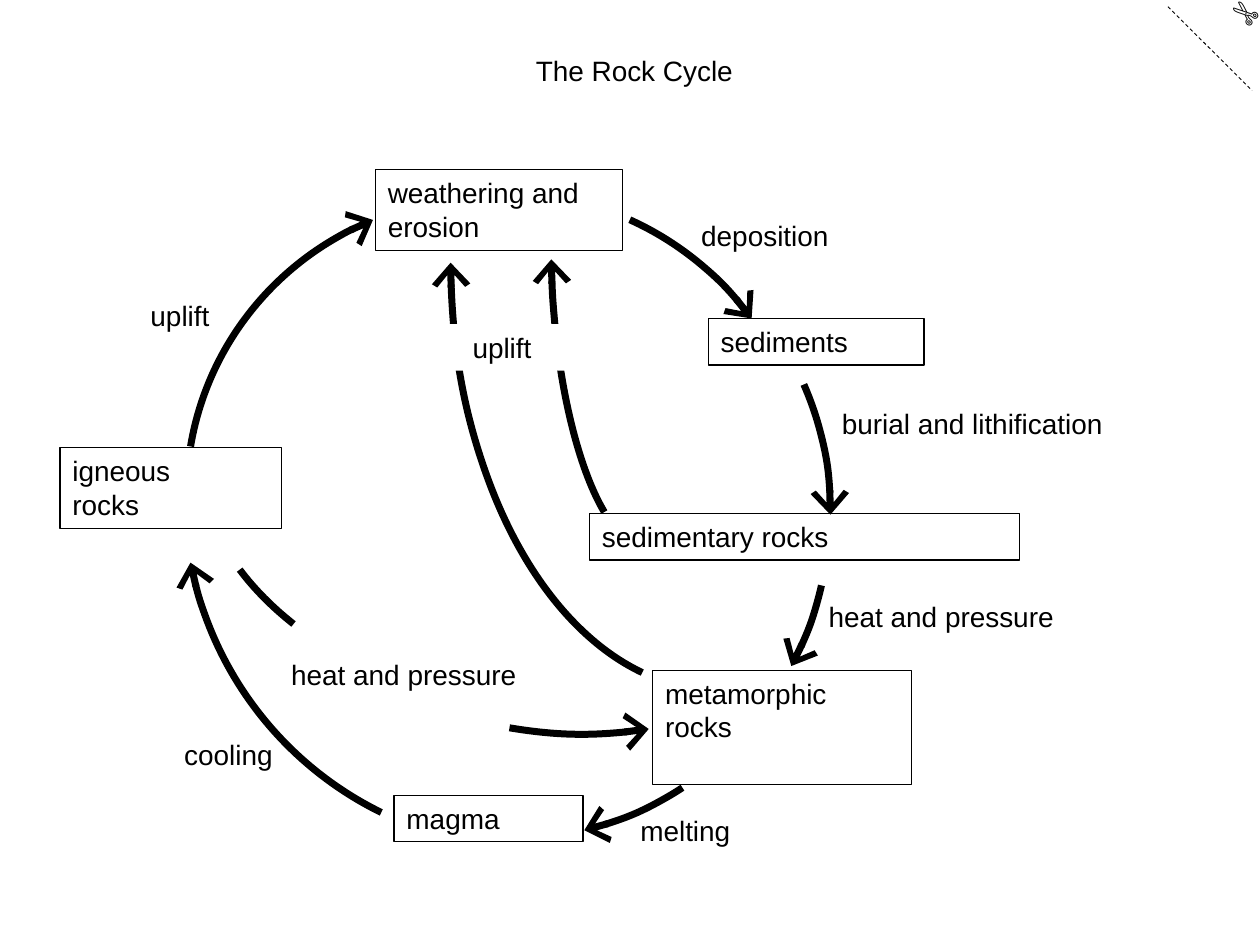
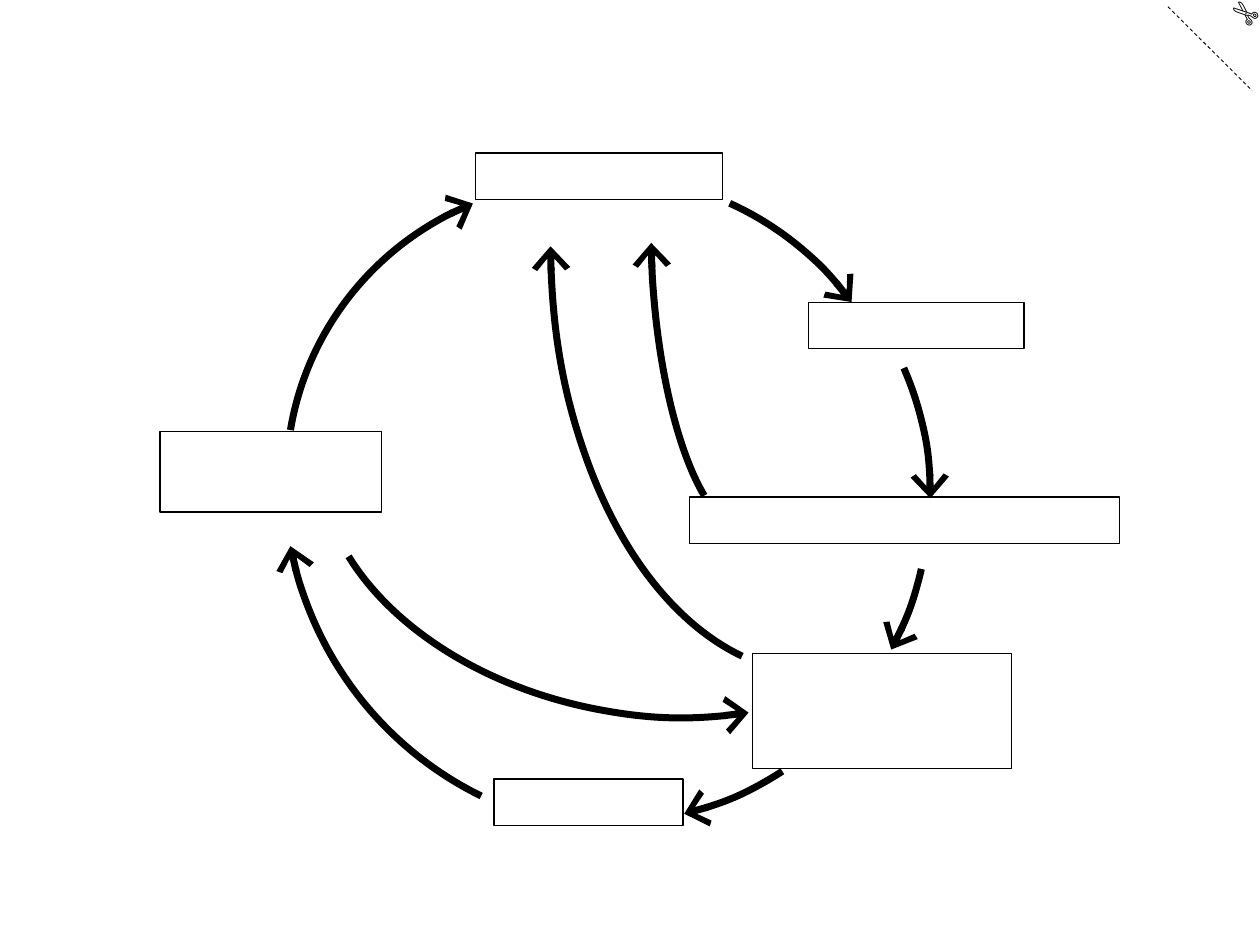
from lxml.etree import SubElement
from pptx import Presentation
from pptx.dml.color import RGBColor
from pptx.enum.dml import MSO_LINE
from pptx.enum.shapes import MSO_CONNECTOR, MSO_SHAPE as Shape
from pptx.enum.text import MSO_ANCHOR as Anchor, PP_ALIGN as Align
from pptx.oxml.ns import qn
from pptx.util import Pt

FONT, INK, PAPER = "Arial", "000000", "FFFFFF"
ROW = 26.6  # height of a one-line box
SHIFT = (57.1, -9.4)  # the blank diagram against the labelled one

TITLE = ("The Rock Cycle", 298.4, 26.9, 128.2)

# text, left, top, width, height, height when blank
BOXES = [
    ("weathering and erosion", 214.5, 96.9, 141.3, 46.3, ROW),
    ("sediments", 404.8, 182.1, 123.3, ROW, ROW),
    ("sedimentary rocks", 336.9, 293.5, 245.7, ROW, ROW),
    ("metamorphic rocks", 373, 383, 147.8, 65.5, 65.5),
    ("magma", 225.2, 454.5, 108, ROW, ROW),
    ("igneous\nrocks", 34.3, 255.9, 126.7, 46.1, 46.1),
]

# left, top, width, height, turn, start, end
ARCS = [
    (106.6, 113, 343.4, 339.8, 0, 113.58, 148.49),  # igneous to weathering
    (222.5, 137.5, 267.1, 79.2, 85.1, 6.12, 78.02),  # sedimentary to weathering
    (163.6, -4.3, 492.5, 304.6, 270, 114.16, 161.52),  # metamorphic to weathering
    (112.3, 111.6, 353.5, 349.9, 70, 134.25, 152),  # deposition
    (103, 80.6, 406.1, 401.8, 279.8, 117.57, 149.24),  # cooling
    (116.8, 120.2, 357.8, 354.2, 134.9, 142.32, 151.88),  # heat and pressure
    (112.3, 125.3, 357.8, 354.2, 180, 141.74, 153.64),  # melting
    (118.4, 115.9, 357.8, 354.2, 105, 138.4, 153.22),  # burial
]

# igneous to metamorphic: whole, or in two parts around its label
BOWL = (123.8, 165.6, 367.2, 251.3, 11)
WHOLE = (*BOWL, 121.99, 184.67)
FRONT = (*BOWL, 164.14, 184.67)
BACK = (111.6, 153.4, 367.2, 251.3, 11, 124.43, 133.4)

# text, left, top, width
LABELS = [
    ("cooling", 98.2, 417.9, 65.5),
    ("deposition", 393.6, 121.4, 87.8),
    ("burial and lithification", 474, 229, 223.2),
    ("heat and pressure", 466.4, 339.1, 144.7),
    ("heat and pressure", 159.3, 372.2, 169.9),
    ("melting", 358.8, 461.5, 66.2),
]
# text, left, top, width, left margin: these hide the arrows behind them
MASKS = [
    ("uplift", 245.5, 185.3, 87.1, 24.5),
    ("uplift", 78.9, 167, 49, 7.2),
]


def color(code):
    return RGBColor.from_string(code)


def write(shape, text, size=16, align=Align.LEFT):
    frame = shape.text_frame
    frame.text = text
    frame.word_wrap = True
    frame.vertical_anchor = Anchor.TOP
    for par in frame.paragraphs:
        par.alignment = align
        font = par.font
        font.name, font.size = FONT, Pt(size)
        font.color.rgb = color(INK)


def draw(slide, kind, left, top, width, height):
    """Add a preset shape with no fill, line or shadow."""
    shape = slide.shapes.add_shape(kind, Pt(left), Pt(top), Pt(width), Pt(height))
    shape.shadow.inherit = False
    shape.fill.background()
    shape.line.fill.background()
    return shape


def stroke(line, width):
    line.fill.solid()
    line.fill.fore_color.rgb = color(INK)
    line.width = Pt(width)


def add_arc(slide, arc, shift, head=True, flip=False):
    left, top, width, height, turn, start, end = arc
    shape = draw(slide, Shape.ARC, left + shift[0], top + shift[1], width, height)
    shape.adjustments[0], shape.adjustments[1] = start, end
    shape.rotation = turn
    stroke(shape.line, 4)
    if flip:
        shape.element.spPr.find(qn("a:xfrm")).set("flipV", "1")
    if head:
        line = shape.element.spPr.find(qn("a:ln"))
        SubElement(line, qn("a:tailEnd"), type="arrow", w="lg", len="med")


def add_label(slide, text, left, top, width):
    box = slide.shapes.add_textbox(Pt(left), Pt(top), Pt(width), Pt(ROW))
    write(box, text)


def add_cycle(slide, shift=(0, 0), blank=False):
    """Draw the boxes and the arrows that both slides share."""
    for text, left, top, width, full, bare in BOXES:
        box = draw(slide, Shape.RECTANGLE, left + shift[0], top + shift[1],
                   width, bare if blank else full)
        stroke(box.line, 0.75)
        if not blank:
            write(box, text)
    for arc in ARCS:
        add_arc(slide, arc, shift)
    add_arc(slide, WHOLE if blank else FRONT, shift, flip=True)


def add_corner(slide):
    """Draw the dashed cutting line and its scissors."""
    cut = slide.shapes.add_connector(
        MSO_CONNECTOR.STRAIGHT, Pt(667.4), Pt(3.8), Pt(715.5), Pt(51.8))
    stroke(cut.line, 0.5)
    cut.line.dash_style = MSO_LINE.DASH
    SubElement(cut.element.spPr, qn("a:effectLst"))
    mark = slide.shapes.add_textbox(Pt(695.9), Pt(-6.5), Pt(30.2), Pt(28.8))
    write(mark, "✄", 18)
    mark.rotation = 220.5


def add_named(deck):
    slide = deck.slides.add_slide(deck.slide_layouts[5])
    head = slide.shapes.title
    text, left, top, width = TITLE
    head.left, head.top, head.width, head.height = map(Pt, (left, top, width, ROW))
    write(head, text, align=Align.CENTER)
    add_cycle(slide)
    add_arc(slide, BACK, (0, 0), head=False, flip=True)
    for label in LABELS:
        add_label(slide, *label)
    for text, left, top, width, inset in MASKS:
        mask = draw(slide, Shape.RECTANGLE, left, top, width, ROW)
        mask.fill.solid()
        mask.fill.fore_color.rgb = color(PAPER)
        write(mask, text)
        mask.text_frame.margin_left = Pt(inset)
    add_corner(slide)


def add_blank(deck):
    slide = deck.slides.add_slide(deck.slide_layouts[6])
    add_cycle(slide, SHIFT, blank=True)
    add_corner(slide)


def main():
    deck = Presentation()
    deck.slide_width, deck.slide_height = Pt(720), Pt(540)
    add_named(deck)
    add_blank(deck)
    deck.save("out.pptx")


if __name__ == "__main__":
    main()
